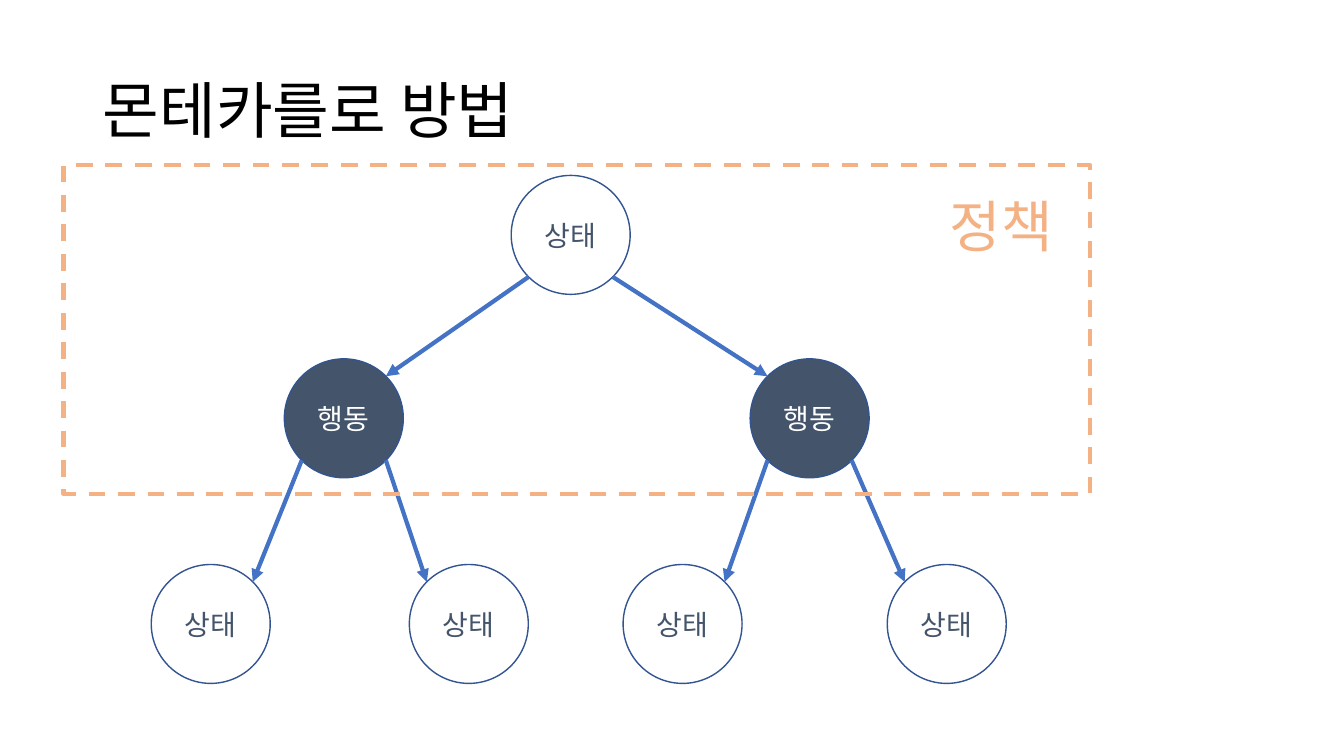
from dataclasses import dataclass
from math import sqrt

from lxml.etree import SubElement
from pptx import Presentation
from pptx.dml.color import RGBColor
from pptx.enum.dml import MSO_LINE
from pptx.enum.shapes import MSO_CONNECTOR, MSO_SHAPE
from pptx.enum.text import MSO_ANCHOR, MSO_AUTO_SIZE, PP_ALIGN
from pptx.oxml.ns import qn
from pptx.util import Inches, Pt


@dataclass(frozen=True)
class Theme:
    font: str = "Noto Sans CJK KR"
    black: str = "000000"
    white: str = "FFFFFF"
    slate: str = "44546A"
    outline: str = "325491"
    arrow: str = "4472C4"
    policy: str = "F4B183"
    title_size: int = 44
    policy_size: int = 40
    node_size: int = 20
    thin: int = 1
    thick: int = 3


class Diagram:
    cell = 0.1
    node = 11.8

    def __init__(self, s, theme):
        self.s = s
        self.theme = theme

    def grid(self, *cells):
        return [Inches(c * self.cell) for c in cells]

    def add_text(self, tf, text, size, color, align=PP_ALIGN.LEFT):
        p = tf.paragraphs[0]
        p.alignment = align
        r = p.add_run()
        r.text = text
        r.font.name = self.theme.font
        r.font.size = Pt(size)
        r.font.color.rgb = RGBColor.from_string(color)
        SubElement(r.font._element, qn("a:ea"), typeface=self.theme.font)
        return p

    def stroke(self, line, color, width):
        line.color.rgb = RGBColor.from_string(color)
        line.width = Pt(width)

    def title(self, text, *box):
        sp = self.s.shapes.title
        sp.left, sp.top, sp.width, sp.height = self.grid(*box)
        sp.text_frame.vertical_anchor = MSO_ANCHOR.MIDDLE
        p = self.add_text(sp.text_frame, text, self.theme.title_size, self.theme.black)
        p.line_spacing = 0.9

    def circle(self, text, col, row, fill, color):
        sp = self.s.shapes.add_shape(
            MSO_SHAPE.OVAL, *self.grid(col, row, self.node, self.node))
        sp.shadow.inherit = False
        sp.fill.solid()
        sp.fill.fore_color.rgb = RGBColor.from_string(fill)
        self.stroke(sp.line, self.theme.outline, self.theme.thin)
        sp.text_frame.vertical_anchor = MSO_ANCHOR.MIDDLE
        self.add_text(sp.text_frame, text, self.theme.node_size, color, PP_ALIGN.CENTER)
        return sp

    def state(self, col, row):
        return self.circle("상태", col, row, self.theme.white, self.theme.slate)

    def action(self, col, row):
        return self.circle("행동", col, row, self.theme.slate, self.theme.white)

    def rim(self, sp, right, down):
        reach = sp.width / 2 / sqrt(2)
        x = sp.left + sp.width / 2 + right * reach
        y = sp.top + sp.height / 2 + down * reach
        return int(x), int(y)

    def arrow(self, parent, child):
        side = 1 if child.left > parent.left else -1
        cx = self.s.shapes.add_connector(
            MSO_CONNECTOR.STRAIGHT,
            *self.rim(parent, side, 1), *self.rim(child, -side, -1))
        self.stroke(cx.line, self.theme.arrow, self.theme.thick)
        props = cx._element.spPr
        SubElement(props.find(qn("a:ln")), qn("a:tailEnd"), type="triangle")
        SubElement(props, qn("a:effectLst"))

    def frame(self, *box):
        sp = self.s.shapes.add_shape(MSO_SHAPE.RECTANGLE, *self.grid(*box))
        sp.shadow.inherit = False
        sp.fill.background()
        self.stroke(sp.line, self.theme.policy, self.theme.thick)
        sp.line.dash_style = MSO_LINE.DASH

    def label(self, text, *box):
        tf = self.s.shapes.add_textbox(*self.grid(*box)).text_frame
        tf.word_wrap = False
        tf.auto_size = MSO_AUTO_SIZE.SHAPE_TO_FIT_TEXT
        self.add_text(tf, text, self.theme.policy_size, self.theme.policy)


def main():
    prs = Presentation()
    prs.slide_width, prs.slide_height = Inches(13.33), Inches(7.5)
    d = Diagram(prs.slides.add_slide(prs.slide_layouts[5]), Theme())

    d.title("몬테카를로 방법", 9.2, 4, 115, 14.5)
    root = d.state(50.7, 17.4)
    branches = [(28.2, (15, 40.6)), (74.4, (61.8, 88))]
    links = []
    for action_col, state_cols in branches:
        action = d.action(action_col, 35.6)
        links.append((root, action))
        links += [(action, d.state(col, 56)) for col in state_cols]
    for parent, child in links:
        d.arrow(parent, child)
    d.frame(6.3, 16.4, 101.8, 32.6)
    d.label("정책", 93.2, 18.5, 13.2, 7.7)

    prs.save("out.pptx")


if __name__ == "__main__":
    main()
